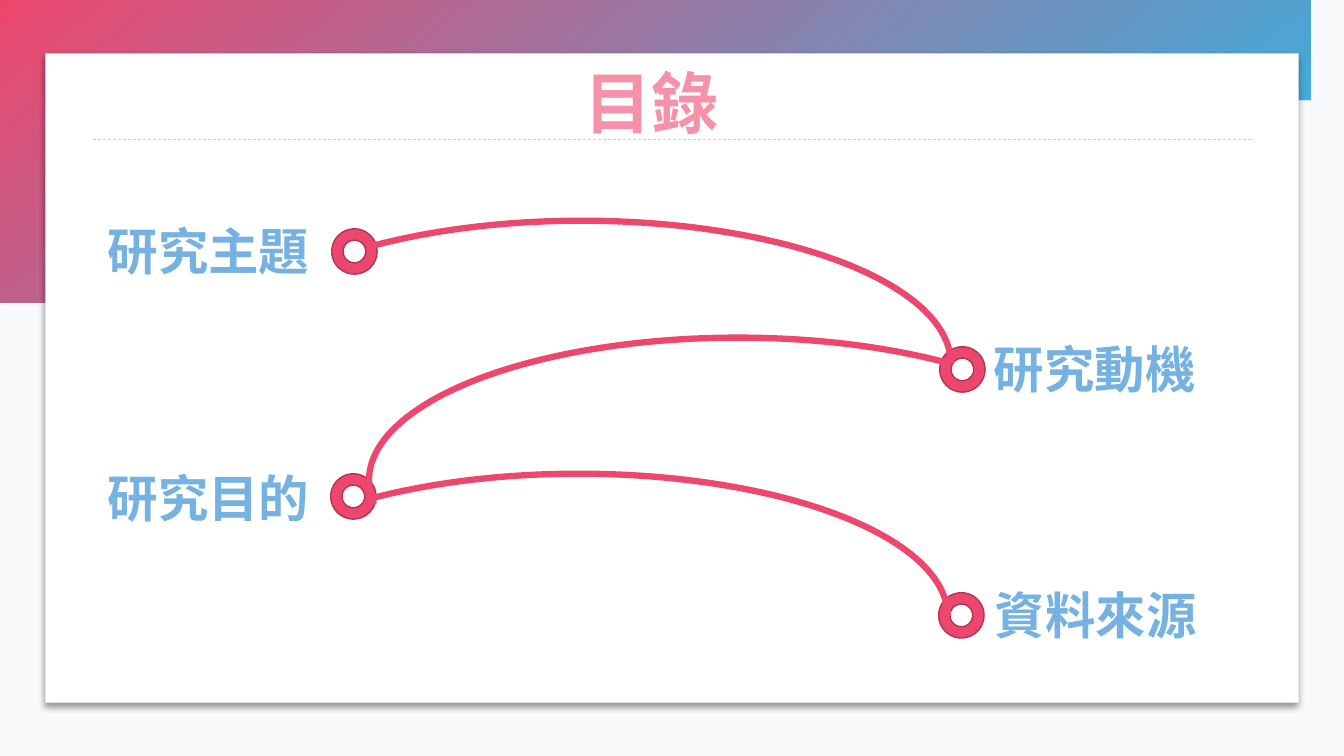
from lxml import etree
from pptx import Presentation
from pptx.dml.color import RGBColor
from pptx.enum import dml, shapes, text
from pptx.oxml import ns
from pptx.util import Inches, Pt

PAGE = RGBColor(0xF8, 0xF9, 0xFB)
WHITE = RGBColor(0xFF, 0xFF, 0xFF)
ROSE = RGBColor(0xEE, 0x47, 0x6E)
DARK_ROSE = RGBColor(0xB0, 0x35, 0x51)
PINK = RGBColor(0xF5, 0x91, 0xA8)
CYAN = RGBColor(0x16, 0xB3, 0xE8)
SKY = RGBColor(0x75, 0xB2, 0xE2)
GREY = RGBColor(0xD0, 0xCE, 0xCE)

WIDTH, HEIGHT = 13.33, 7.5
RING = 0.45
ARC_SIZE = (7.32, 2.83)
ARC_START = 125.62
LABEL_SIZE = (2.22, 0.71)

# Lower edge of the wave: two control points and an end point per curve
WAVE = [
    ((0, 2.58), (0, 2.58), (0, 2.58)),
    ((1.22, 3.04), (2.66, 3.11), (3.93, 2.74)),
    ((5.3, 2.35), (6.48, 1.51), (7.92, 1.36)),
    ((9.36, 1.21), (10.88, 1.8), (12.27, 1.42)),
    ((12.67, 1.31), (13.04, 1.11), (13.33, 0.85)),
]
# Label, its left and top, ring left and top
STOPS = [
    ("研究主題", (0.97, 2.13), (3.29, 2.27)),
    ("研究動機", (9.76, 3.31), (9.32, 3.44)),
    ("研究目的", (0.97, 4.58), (3.28, 4.7)),
    ("資料來源", (9.77, 5.75), (9.31, 5.88)),
]
# Left and top, end angle, mirrored
ARCS = [
    ((2.11, 2.19), 0, False),
    ((3.66, 3.35), 2.22, True),
    ((2.08, 4.7), 0, False),
]


def inches(*lengths):
    return [Inches(length) for length in lengths]


def add_xml(parent, tag, **attributes):
    return etree.SubElement(parent, ns.qn(tag), attributes)


def bezier(start, control_1, control_2, end, steps=16):
    """Points along a cubic curve, without its start."""
    for step in range(1, steps + 1):
        t = step / steps
        weights = ((1 - t) ** 3, 3 * t * (1 - t) ** 2, 3 * t * t * (1 - t), t ** 3)
        corners = (start, control_1, control_2, end)
        yield tuple(sum(w * corner[axis] for w, corner in zip(weights, corners))
                    for axis in (0, 1))


def add_wave(slide):
    edge = [(0, 0)]
    for curve in WAVE:
        edge += bezier(edge[-1], *curve)
    edge.append((WIDTH, 0))
    builder = slide.shapes.build_freeform(0, 0, scale=Inches(1))
    builder.add_line_segments(edge[1:], close=True)
    wave = builder.convert_to_shape()
    wave.shadow.inherit = False
    wave.line.fill.background()
    wave.fill.gradient()
    wave.fill.gradient_angle = 310
    for stop, colour in zip(wave.fill.gradient_stops, (ROSE, CYAN)):
        stop.color.rgb = colour
    last_colour = wave._element.spPr.findall(".//" + ns.qn("a:srgbClr"))[-1]
    add_xml(last_colour, "a:alpha", val="90000")


def add_panel(slide, left, top, width, height):
    panel = slide.shapes.add_shape(shapes.MSO_SHAPE.RECTANGLE,
                                   *inches(left, top, width, height))
    panel.fill.solid()
    panel.fill.fore_color.rgb = WHITE
    panel.line.fill.background()
    panel.shadow.inherit = False
    effects = panel._element.spPr.find(ns.qn("a:effectLst"))
    shadow = add_xml(effects, "a:outerShdw", blurRad=str(Pt(4)), dist=str(Pt(3)),
                     dir="5400000", algn="t", rotWithShape="0")
    add_xml(add_xml(shadow, "a:srgbClr", val="000000"), "a:alpha", val="40000")

    rule_y = top + 0.85
    rule = slide.shapes.add_connector(
        shapes.MSO_CONNECTOR.STRAIGHT,
        *inches(left + 0.47, rule_y, left + width - 0.45, rule_y))
    rule.line.color.rgb = GREY
    rule.line.width = Pt(0.5)
    rule.line.dash_style = dml.MSO_LINE.DASH
    add_xml(rule._element.spPr, "a:effectLst")


def place(shape, left, top, width, height):
    shape.left, shape.top, shape.width, shape.height = inches(left, top, width, height)


def write(shape, words, size, colour, font_name):
    frame = shape.text_frame
    frame.text = words
    frame.word_wrap = False
    font = frame.paragraphs[0].font
    font.size = Pt(size)
    font.bold = True
    font.name = font_name
    font.color.rgb = colour
    return font


def add_title(slide, left, top, width, height):
    title = slide.shapes.title
    place(title, left, top, width, height)
    write(title, "目錄", 48, PINK, "Calibri")
    title.text_frame.vertical_anchor = text.MSO_ANCHOR.TOP
    title.text_frame.paragraphs[0].alignment = text.PP_ALIGN.LEFT
    slide.shapes._spTree.append(title._element)  # bring in front of the panel


def add_label(slide, words, left, top):
    label = slide.shapes.add_textbox(*inches(left, top, *LABEL_SIZE))
    font = write(label, words, 36, SKY, "Noto Sans CJK JP")
    add_xml(font._element, "a:ea", typeface="Noto Sans CJK JP")


def add_ring(slide, left, top):
    ring = slide.shapes.add_shape(shapes.MSO_SHAPE.DONUT,
                                  *inches(left, top, RING, RING))
    ring.shadow.inherit = False
    ring.fill.solid()
    ring.fill.fore_color.rgb = ROSE
    ring.line.color.rgb = DARK_ROSE
    ring.line.width = Pt(1)


def add_arc(slide, left, top, end_angle, mirrored):
    arc = slide.shapes.add_shape(shapes.MSO_SHAPE.ARC, *inches(left, top, *ARC_SIZE))
    arc.adjustments[0] = ARC_START
    arc.adjustments[1] = end_angle
    arc.shadow.inherit = False
    arc.fill.background()
    arc.line.color.rgb = ROSE
    arc.line.width = Pt(4.5)
    if mirrored:
        arc._element.spPr.find(ns.qn("a:xfrm")).set("flipH", "1")


def add_route(slide):
    for words, label_at, _ in STOPS:
        add_label(slide, words, *label_at)
    for _, _, ring_at in STOPS:
        add_ring(slide, *ring_at)
    for arc_at, end_angle, mirrored in ARCS:
        add_arc(slide, *arc_at, end_angle, mirrored)


def main():
    deck = Presentation()
    deck.slide_width, deck.slide_height = inches(WIDTH, HEIGHT)
    slide = deck.slides.add_slide(deck.slide_layouts.get_by_name("Title Only"))
    slide.background.fill.solid()
    slide.background.fill.fore_color.rgb = PAGE
    add_wave(slide)
    add_panel(slide, 0.45, 0.53, 12.43, 6.44)
    add_title(slide, 5.7, 0.56, 1.55, 0.91)
    add_route(slide)
    deck.save("out.pptx")


if __name__ == "__main__":
    main()
